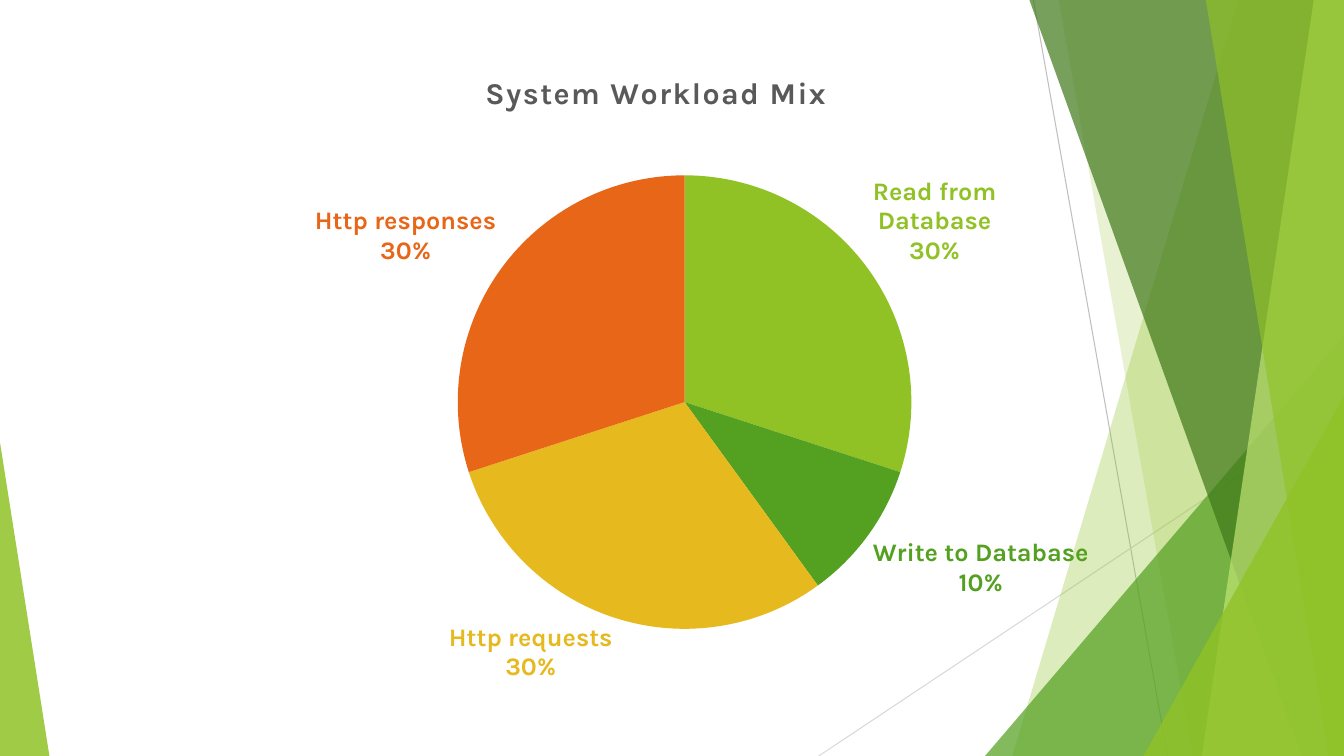
from lxml import etree
from pptx import Presentation
from pptx.chart.data import CategoryChartData
from pptx.dml.color import RGBColor
from pptx.enum.chart import XL_CHART_TYPE, XL_LABEL_POSITION
from pptx.enum.shapes import MSO_CONNECTOR, MSO_SHAPE
from pptx.oxml import parse_xml
from pptx.oxml.ns import nsdecls, qn
from pptx.util import Inches, Pt

PIE = XL_CHART_TYPE.PIE
OUTSIDE_END = XL_LABEL_POSITION.OUTSIDE_END
STRAIGHT = MSO_CONNECTOR.STRAIGHT
TRIANGLE = MSO_SHAPE.ISOSCELES_TRIANGLE

WIDTH, HEIGHT = 13.33, 7.5
THEME = {
    "font": "Karla", "title_size": 21.6, "label_size": 18, "line_width": 0.75,
    "title": "595959", "lime": "90C226", "green": "54A021", "forest": "3F7819",
    "pale": "C0E474", "gold": "E6B91E", "orange": "E76618",
    "line_dark": "BFBFBF", "line_light": "D9D9D9",
}

TITLE = "System Workload Mix"
WORKLOAD = [  # category, share, colour
    ("Read from Database", 30, "lime"),
    ("Write to Database", 10, "green"),
    ("Http requests", 30, "gold"),
    ("Http responses", 30, "orange"),
]
CHART_BOX = (0.58, 0.48, 11.85, 6.47)
PIE_BOX = (4.54, 1.74, 4.5, 4.5)

LINES = [  # start, end, colour
    ((10.25, 0), (11.58, HEIGHT), "line_dark"),
    ((WIDTH, 4.03), (8.12, HEIGHT), "line_light"),
]
# Bands reach the right edge: top-left x, bottom-left x, colour, opacity.
# Triangles stand on the bottom edge: left, top, width, apex, colour, opacity.
FACETS = [
    ("band", 12.28, 10.04, "lime", 30),
    ("band", 10.5, 11.83, "lime", 20),
    ("triangle", 9.77, 3.33, 3.56, 1, "green", 72),
    ("band", 10.21, 12.91, "forest", 70),
    ("band", 13.03, 11.92, "pale", 70),
    ("band", 11.96, 13.18, "lime", 65),
    ("triangle", 11.34, 3.93, 1.99, 1, "lime", 80),
    ("triangle", 0, 4.39, 0.49, 0, "lime", 85),
]


def color(name):
    """Return a theme colour."""
    return RGBColor.from_string(THEME[name])


def paint(shape, name, opacity):
    """Give a shape a translucent fill with no line or shadow."""
    shape.shadow.inherit = False
    shape.line.fill.background()
    shape.fill.solid()
    shape.fill.fore_color.rgb = color(name)
    fill = shape.fill._xPr.find(qn("a:solidFill"))
    etree.SubElement(fill[0], qn("a:alpha"), val=str(opacity * 1000))


def add_line(page, start, end, name):
    """Draw a thin line without a shadow."""
    points = [Inches(value) for value in start + end]
    line = page.shapes.add_connector(STRAIGHT, *points)
    line.line.color.rgb = color(name)
    line.line.width = Pt(THEME["line_width"])
    etree.SubElement(line._element.spPr, qn("a:effectLst"))


def add_band(page, top_left, bottom_left, name, opacity):
    """Draw a full-height band with a slanted left edge."""
    corners = [(top_left, 0), (WIDTH, 0), (WIDTH, HEIGHT), (bottom_left, HEIGHT)]
    points = [(Inches(x), Inches(y)) for x, y in corners]
    builder = page.shapes.build_freeform(*points[0], scale=1.0)
    builder.add_line_segments(points[1:], close=True)
    paint(builder.convert_to_shape(), name, opacity)


def add_triangle(page, left, top, width, apex, name, opacity):
    """Draw a right triangle standing on the bottom edge."""
    box = [Inches(value) for value in (left, top, width, HEIGHT - top)]
    shape = page.shapes.add_shape(TRIANGLE, *box)
    shape.adjustments[0] = apex
    paint(shape, name, opacity)


def style_font(font, size, name):
    """Apply the bold chart lettering."""
    font.name, font.size, font.bold = THEME["font"], Pt(THEME[size]), True
    font.color.rgb = color(name)


def place_plot(chart):
    """Fix the pie inside the chart frame."""
    left, top, width, height = CHART_BOX
    x, y, w, h = PIE_BOX
    parts = {"x": (x - left) / width, "y": (y - top) / height,
             "w": w / width, "h": h / height}
    modes = '<c:layoutTarget val="inner"/><c:xMode val="edge"/><c:yMode val="edge"/>'
    sizes = "".join(f'<c:{key} val="{part:.4f}"/>' for key, part in parts.items())
    layout = parse_xml(f'<c:layout {nsdecls("c")}><c:manualLayout>{modes}{sizes}'
                       '</c:manualLayout></c:layout>')
    plot_area = chart._chartSpace.chart.plotArea
    for old in plot_area.findall(qn("c:layout")):
        plot_area.remove(old)
    plot_area.insert(0, layout)


def show_share(label):
    """Show category and percentage on two lines."""
    element = label._dLbl
    for tag, value in (("showVal", "0"), ("showCatName", "1"), ("showPercent", "1")):
        element.find(qn(f"c:{tag}")).set("val", value)
    etree.SubElement(element, qn("c:separator")).text = "\n"


def add_pie(page):
    """Add the workload pie with its title and coloured labels."""
    data = CategoryChartData(number_format="0")
    data.categories = [category for category, _, _ in WORKLOAD]
    data.add_series(TITLE, [share for _, share, _ in WORKLOAD])
    box = [Inches(value) for value in CHART_BOX]
    chart = page.shapes.add_chart(PIE, *box, data).chart
    chart.font.name, chart.font.size = THEME["font"], Pt(THEME["label_size"])
    chart.has_legend = False
    chart.has_title = True
    frame = chart.chart_title.text_frame
    frame.text = TITLE
    span = frame.paragraphs[0].runs[0]
    style_font(span.font, "title_size", "title")
    span.font._element.set("spc", "100")
    place_plot(chart)
    plot = chart.plots[0]
    plot.vary_by_categories = True
    for index, (_, _, name) in enumerate(WORKLOAD):
        point = plot.series[0].points[index]
        point.format.fill.solid()
        point.format.fill.fore_color.rgb = color(name)
        point.format.line.fill.background()
        label = point.data_label
        style_font(label.font, "label_size", name)
        label.position = OUTSIDE_END
        show_share(label)


def main():
    """Build and save the slide."""
    deck = Presentation()
    deck.slide_width, deck.slide_height = Inches(WIDTH), Inches(HEIGHT)
    page = deck.slides.add_slide(deck.slide_layouts[6])
    for line in LINES:
        add_line(page, *line)
    draw = {"band": add_band, "triangle": add_triangle}
    for kind, *values in FACETS:
        draw[kind](page, *values)
    add_pie(page)
    deck.save("out.pptx")


main()
